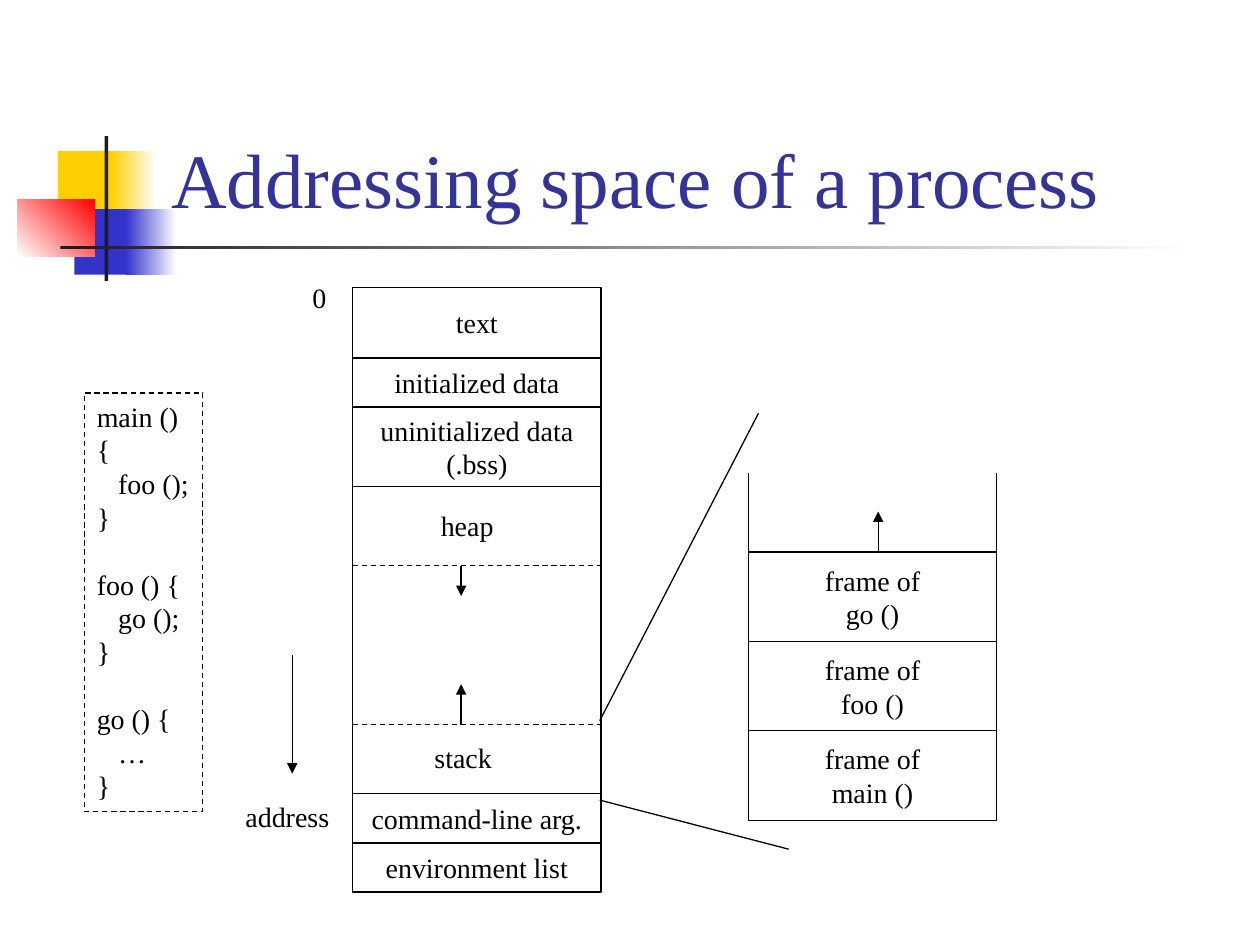
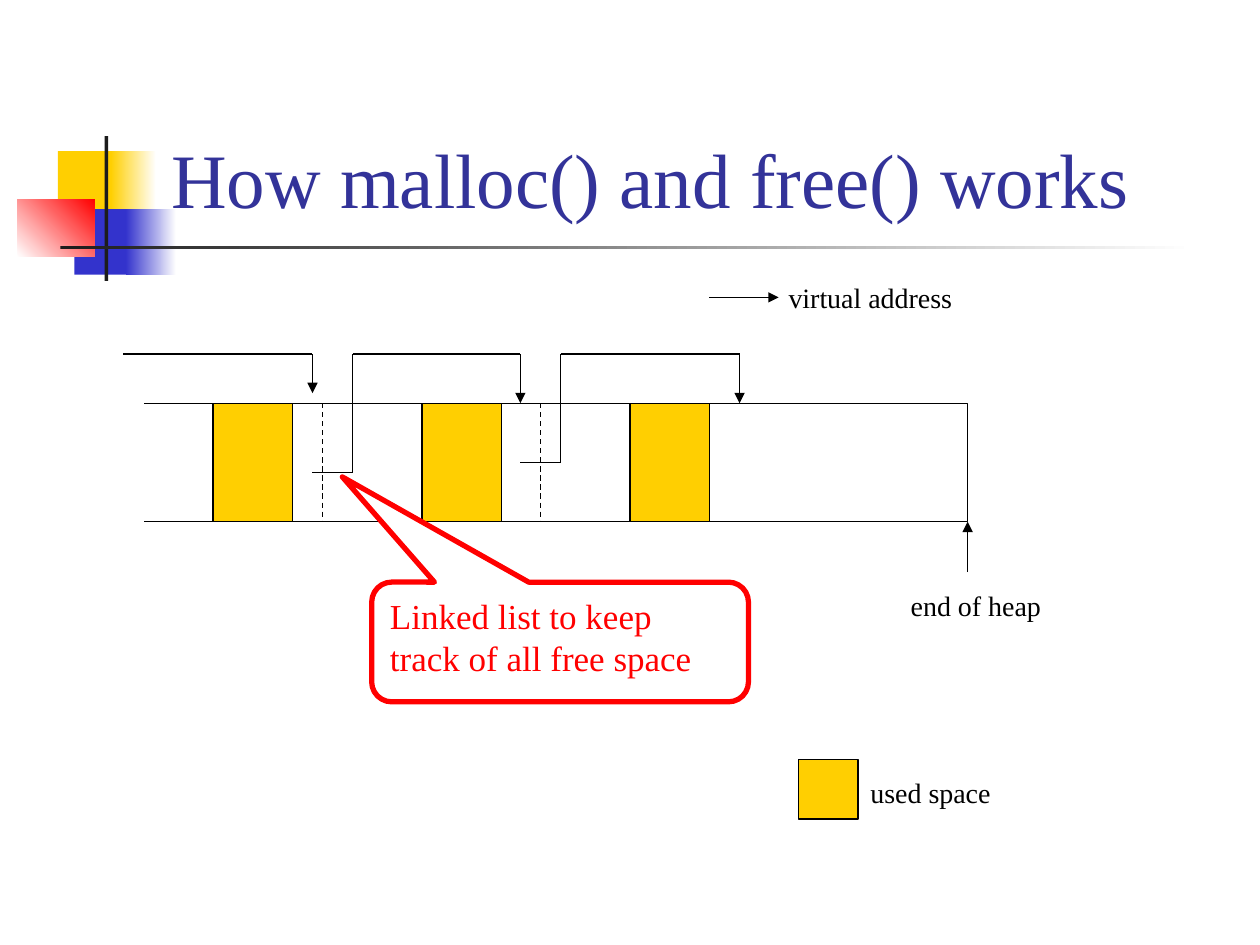
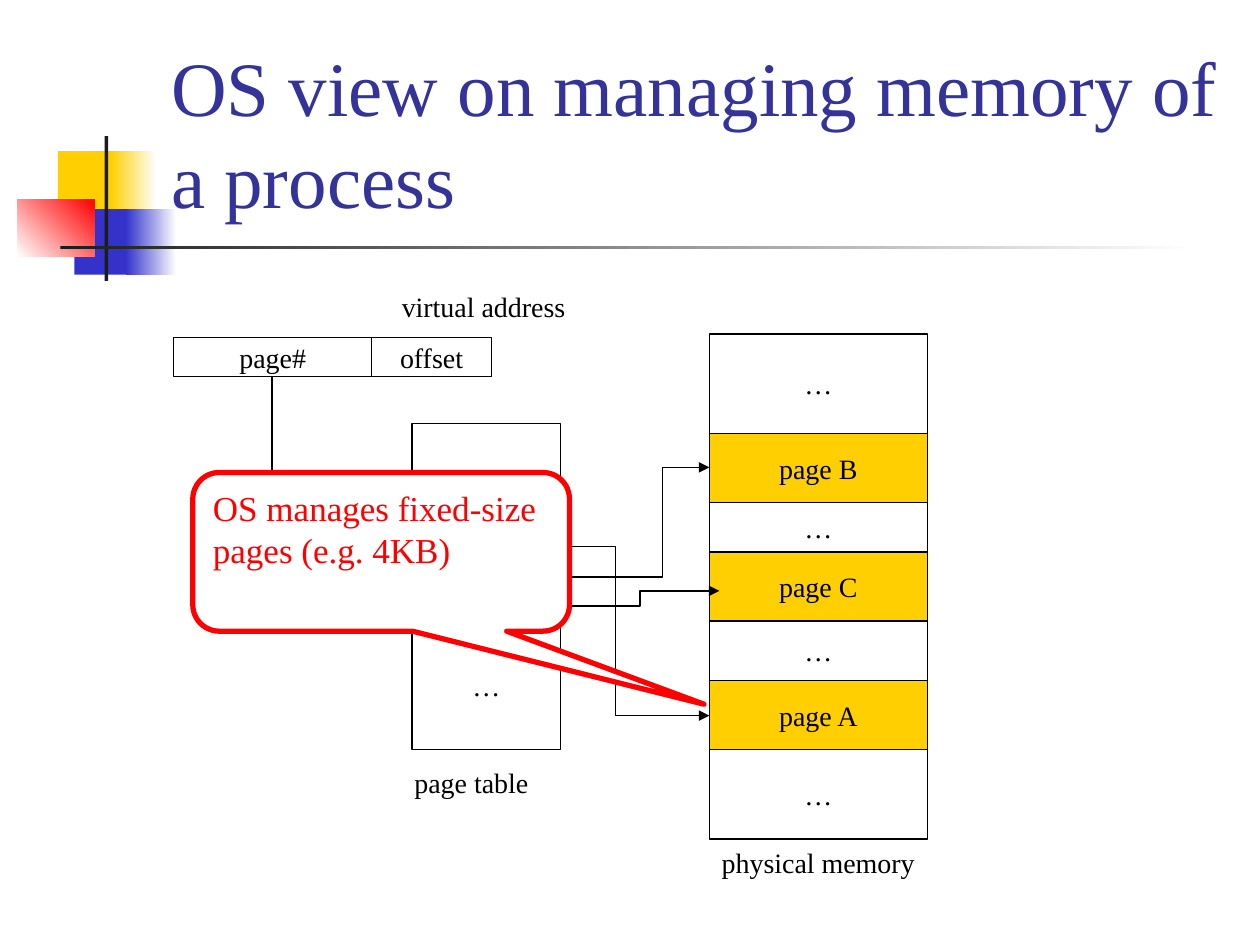
from dataclasses import dataclass
from typing import Optional

import pptx
import pptx.dml.color
import pptx.enum.dml
import pptx.enum.shapes
import pptx.enum.text
import pptx.oxml
import pptx.oxml.ns
import pptx.util
from pptx.util import Inches

Align = pptx.enum.text.PP_ALIGN
Anchor = pptx.enum.text.MSO_ANCHOR
Preset = pptx.enum.shapes.MSO_SHAPE
Point = tuple[float, float]


@dataclass(frozen=True)
class Theme:
    font: str = "Times New Roman"
    title: str = "333399"
    ink: str = "000000"
    paper: str = "FFFFFF"
    gold: str = "FFCF01"
    blue: str = "3333CC"
    red: str = "FF0000"
    charcoal: str = "1C1C1C"
    title_size: int = 44
    callout_size: int = 20
    label_size: int = 16
    blank_line: float = 19.2
    indent: float = 0.17
    thin: float = 0.75
    thick: float = 3


THEME = Theme()


@dataclass(frozen=True)
class Area:
    left: float
    top: float
    width: float
    height: float


@dataclass(frozen=True)
class Band:
    area: Area
    color: str
    fade_to: Optional[str] = None
    angle: int = 0


@dataclass(frozen=True)
class Cell:
    height: float
    label: str = ""
    fill: Optional[str] = None


@dataclass(frozen=True)
class Label:
    text: str
    left: float
    top: float
    width: float


BANDS = [
    Band(Area(0.46, 1.2, 0.48, 0.52), THEME.gold),
    Band(Area(0.88, 1.2, 0.36, 0.52), THEME.gold, THEME.paper),
    Band(Area(0.59, 1.66, 0.46, 0.52), THEME.blue),
    Band(Area(1, 1.66, 0.4, 0.52), THEME.blue, THEME.paper),
    Band(Area(0.14, 1.58, 0.61, 0.46), THEME.paper, THEME.red, 45),
    Band(Area(0.83, 1.08, 0.03, 1.15), THEME.charcoal),
    Band(Area(0.48, 1.95, 9, 0.03), THEME.charcoal, THEME.paper),
]


def rgb(color: str):
    return pptx.dml.color.RGBColor.from_string(color)


# Text: a blank line becomes space before the next one, a leading tab an indent
def write_text(frame, text: str, *, size: int = THEME.label_size,
               color: str = THEME.ink, align=Align.LEFT, anchor=Anchor.TOP,
               wrap: bool = False, grow: bool = False) -> None:
    frame.word_wrap = wrap
    frame.vertical_anchor = anchor
    if grow:
        frame.auto_size = pptx.enum.text.MSO_AUTO_SIZE.SHAPE_TO_FIT_TEXT
    para, gap = None, False
    for line in text.split("\n"):
        if not line:
            gap = True
            continue
        para = frame.add_paragraph() if para else frame.paragraphs[0]
        para.alignment = align
        if gap:
            para.space_before = pptx.util.Pt(THEME.blank_line)
            gap = False
        if line.startswith("\t"):
            para._p.get_or_add_pPr().set("marL", str(Inches(THEME.indent)))
        span = para.add_run()
        span.text = line.strip()
        span.font.name = THEME.font
        span.font.size = pptx.util.Pt(size)
        span.font.color.rgb = rgb(color)


def add_text(page, text: str, area: Area, **style) -> None:
    box = page.shapes.add_textbox(Inches(area.left), Inches(area.top),
                                  Inches(area.width), Inches(area.height))
    write_text(box.text_frame, text, **style)


def add_labels(page, labels: list[Label]) -> None:
    for label in labels:
        add_text(page, label.text, Area(label.left, label.top, label.width, 0.37),
                 grow=True)


# Shapes
def add_box(page, area: Area, *, fill: Optional[str] = None,
            line: Optional[str] = THEME.ink, weight: float = THEME.thin,
            dashed: bool = False, preset=Preset.RECTANGLE):
    box = page.shapes.add_shape(preset, Inches(area.left), Inches(area.top),
                                Inches(area.width), Inches(area.height))
    box.shadow.inherit = False
    if fill:
        box.fill.solid()
        box.fill.fore_color.rgb = rgb(fill)
    else:
        box.fill.background()
    if line:
        style_line(box.line, line, weight, dashed)
    else:
        box.line.fill.background()
    return box


def style_line(line, color: str, weight: float, dashed: bool) -> None:
    line.color.rgb = rgb(color)
    line.width = pptx.util.Pt(weight)
    if dashed:
        line.dash_style = pptx.enum.dml.MSO_LINE.DASH


def add_band(page, band: Band) -> None:
    box = add_box(page, band.area, fill=band.color, line=None)
    if band.fade_to:
        box.fill.gradient()
        box.fill.gradient_angle = band.angle
        for stop, color in zip(box.fill.gradient_stops, (band.color, band.fade_to)):
            stop.color.rgb = rgb(color)


def add_stack(page, left: float, top: float, width: float, cells: list[Cell]) -> None:
    for cell in cells:
        box = add_box(page, Area(left, top, width, cell.height), fill=cell.fill)
        if cell.label:
            write_text(box.text_frame, cell.label, align=Align.CENTER,
                       anchor=Anchor.MIDDLE)
        top += cell.height


def add_callout(page, text: str, area: Area, tip: Point) -> None:
    box = add_box(page, area, fill=THEME.paper, line=THEME.red, weight=THEME.thick,
                  preset=Preset.ROUNDED_RECTANGULAR_CALLOUT)
    for index, value in enumerate((*tip, 0.167)):
        box.adjustments[index] = value
    write_text(box.text_frame, text, size=THEME.callout_size, color=THEME.red,
               wrap=True)


# Connectors
def add_line(page, start: Point, end: Point, *, arrow: bool = False,
             dashed: bool = False, kind=pptx.enum.shapes.MSO_CONNECTOR.STRAIGHT):
    link = page.shapes.add_connector(kind, *(Inches(v) for v in (*start, *end)))
    style_line(link.line, THEME.ink, THEME.thin, dashed)
    if arrow:
        head = pptx.oxml.ns.qn("a:tailEnd")
        tip = link.line._get_or_add_ln().makeelement(head, {"type": "triangle"})
        link.line._get_or_add_ln().append(tip)
    properties = link.element.spPr
    properties.append(properties.makeelement(pptx.oxml.ns.qn("a:effectLst"), {}))
    return link


def add_route(page, points: list[Point]) -> None:
    for index in range(1, len(points)):
        add_line(page, points[index - 1], points[index],
                 arrow=index == len(points) - 1)


def add_elbow(page, start: Point, end: Point, bend: float) -> None:
    link = add_line(page, start, end, arrow=True,
                    kind=pptx.enum.shapes.MSO_CONNECTOR.ELBOW)
    guides = link.element.spPr.find(".//" + pptx.oxml.ns.qn("a:avLst"))
    guides.append(guides.makeelement(
        pptx.oxml.ns.qn("a:gd"),
        {"name": "adj1", "fmla": f"val {round(bend * 100000)}"}))


def add_corner(page, start: Point, end: Point) -> None:
    """Run down from start, then right to end: a mirrored elbow turned by 270°."""
    middle_x, middle_y = (start[0] + end[0]) / 2, (start[1] + end[1]) / 2
    half_width, half_height = (end[1] - start[1]) / 2, (end[0] - start[0]) / 2
    link = add_line(page, (middle_x + half_width, middle_y - half_height),
                    (middle_x - half_width, middle_y + half_height), arrow=True,
                    kind=pptx.enum.shapes.MSO_CONNECTOR.ELBOW)
    properties = link.element.spPr
    properties.find(pptx.oxml.ns.qn("a:xfrm")).set("rot", str(270 * 60000))
    properties.find(pptx.oxml.ns.qn("a:prstGeom")).set("prst", "bentConnector2")


# Slides
def add_page(deck, title: str):
    page = deck.slides.add_slide(deck.slide_layouts[6])
    for band in BANDS:
        add_band(page, band)
    add_text(page, title, Area(1.26, 0.23, 8.52, 1.6), size=THEME.title_size,
             color=THEME.title, anchor=Anchor.BOTTOM, wrap=True)
    return page


def build_address_space(deck) -> None:
    page = add_page(deck, "Addressing space of a process")

    # Process memory
    left, width = 2.8, 1.97
    add_stack(page, left, 2.28, width, [
        Cell(0.56, "text"), Cell(0.39, "initialized data"),
        Cell(0.63, "uninitialized data\n(.bss)"), Cell(2.44),
        Cell(0.39, "command-line arg."), Cell(0.39, "environment list")])
    for edge, tip in ((4.49, 4.73), (5.75, 5.43)):
        add_line(page, (left, edge), (left + width, edge), dashed=True)
        add_line(page, (3.66, edge), (3.66, tip), arrow=True)
    add_labels(page, [Label("heap", 3.4, 3.99, 0.62), Label("stack", 3.35, 5.83, 0.66),
                      Label("0", 2.38, 2.18, 0.31), Label("address", 1.85, 6.3, 0.87)])
    add_line(page, (2.32, 5.2), (2.32, 6.14), arrow=True)

    # Program
    code = add_box(page, Area(0.67, 3.12, 0.94, 3.32), dashed=True)
    write_text(code.text_frame, "main ()\n{\n\tfoo ();\n}\n\nfoo () {\n\tgo ();\n}\n\n"
                                "go () {\n\t…\n}", grow=True)

    # Stack frames
    left, top = 5.94, 4.38
    add_stack(page, left, top, width,
              [Cell(0.71, f"frame of\n{name} ()") for name in ("go", "foo", "main")])
    add_line(page, (6.97, top), (6.97, 4.06), arrow=True)
    for side in (left, left + width):
        add_line(page, (side, top), (side, 3.75))
    add_line(page, (4.76, 5.72), (6.02, 3.28))
    add_line(page, (4.76, 6.35), (6.26, 6.74))


def build_malloc(deck) -> None:
    page = add_page(deck, "How malloc() and free() works")

    # Heap blocks
    top, height, used = 3.2, 0.94, 0.63
    bottom = top + height
    for left, free in ((1.69, 1.03), (3.35, 1.02), (5, 2.05)):
        add_box(page, Area(left, top, used, height), fill=THEME.gold)
        add_box(page, Area(left + used, top, free, height))
    for edge in (top, bottom):
        add_line(page, (1.69, edge), (1.14, edge))
    for divider in (2.56, 4.29):
        add_line(page, (divider, top), (divider, bottom), dashed=True)
    add_line(page, (7.68, 4.54), (7.68, bottom), arrow=True)

    # Free list pointers
    rail = 2.81
    add_route(page, [(0.98, rail), (2.48, rail), (2.48, 3.12)])
    for start, rise, target, level in ((2.48, 2.8, 4.13, 3.75),
                                       (4.13, 4.45, 5.87, 3.67)):
        add_route(page, [(start, level), (rise, level), (rise, rail),
                         (target, rail), (target, top)])

    # Labels and legend
    add_line(page, (5.63, 2.36), (6.18, 2.36), arrow=True)
    add_callout(page, "Linked list to keep track of all free space",
                Area(2.95, 4.62, 2.99, 0.95), (-0.578, -1.379))
    add_box(page, Area(6.34, 6.03, 0.47, 0.47), fill=THEME.gold)
    add_labels(page, [Label("end of heap", 7.13, 4.62, 1.24),
                      Label("virtual address", 6.16, 2.18, 1.51),
                      Label("used space", 6.81, 6.11, 1.16)])


def build_paging(deck) -> None:
    page = add_page(deck, "OS view on managing memory of a process")

    # Virtual address
    add_stack(page, 1.38, 2.68, 1.57, [Cell(0.31, "page#")])
    add_stack(page, 2.95, 2.68, 0.95, [Cell(0.31, "offset")])

    # Page table and physical memory
    add_stack(page, 3.27, 3.36, 1.18, [Cell(0.86, "…"), Cell(0.24), Cell(0.23),
                                       Cell(0.24), Cell(1.02, "…")])
    add_stack(page, 5.63, 2.65, 1.73, [
        Cell(0.79, "…"), Cell(0.55, "page B", THEME.gold),
        Cell(0.39, "…"), Cell(0.55, "page C", THEME.gold),
        Cell(0.47, "…"), Cell(0.55, "page A", THEME.gold), Cell(0.71, "…")])
    add_labels(page, [Label("virtual address", 3.09, 2.25, 1.51),
                      Label("page table", 3.19, 6.03, 1.11),
                      Label("physical memory", 5.63, 6.66, 1.74)])

    # Mappings
    for row, target, bend in ((4.34, (5.63, 5.68), 0.367),
                              (4.58, (5.63, 3.71), 0.683),
                              (4.81, (5.71, 4.69), 0.5)):
        add_elbow(page, (4.45, row), target, bend)
    add_corner(page, (2.16, 2.99), (3.26, 4.58))
    add_callout(page, "OS manages fixed-size pages (e.g. 4KB)",
                Area(1.53, 3.75, 2.99, 1.26), (0.857, 0.96))


def main() -> None:
    deck = pptx.Presentation()
    deck.slide_width = Inches(10)
    deck.slide_height = Inches(7.5)
    build_address_space(deck)
    build_malloc(deck)
    build_paging(deck)
    deck.save("out.pptx")


if __name__ == "__main__":
    main()
